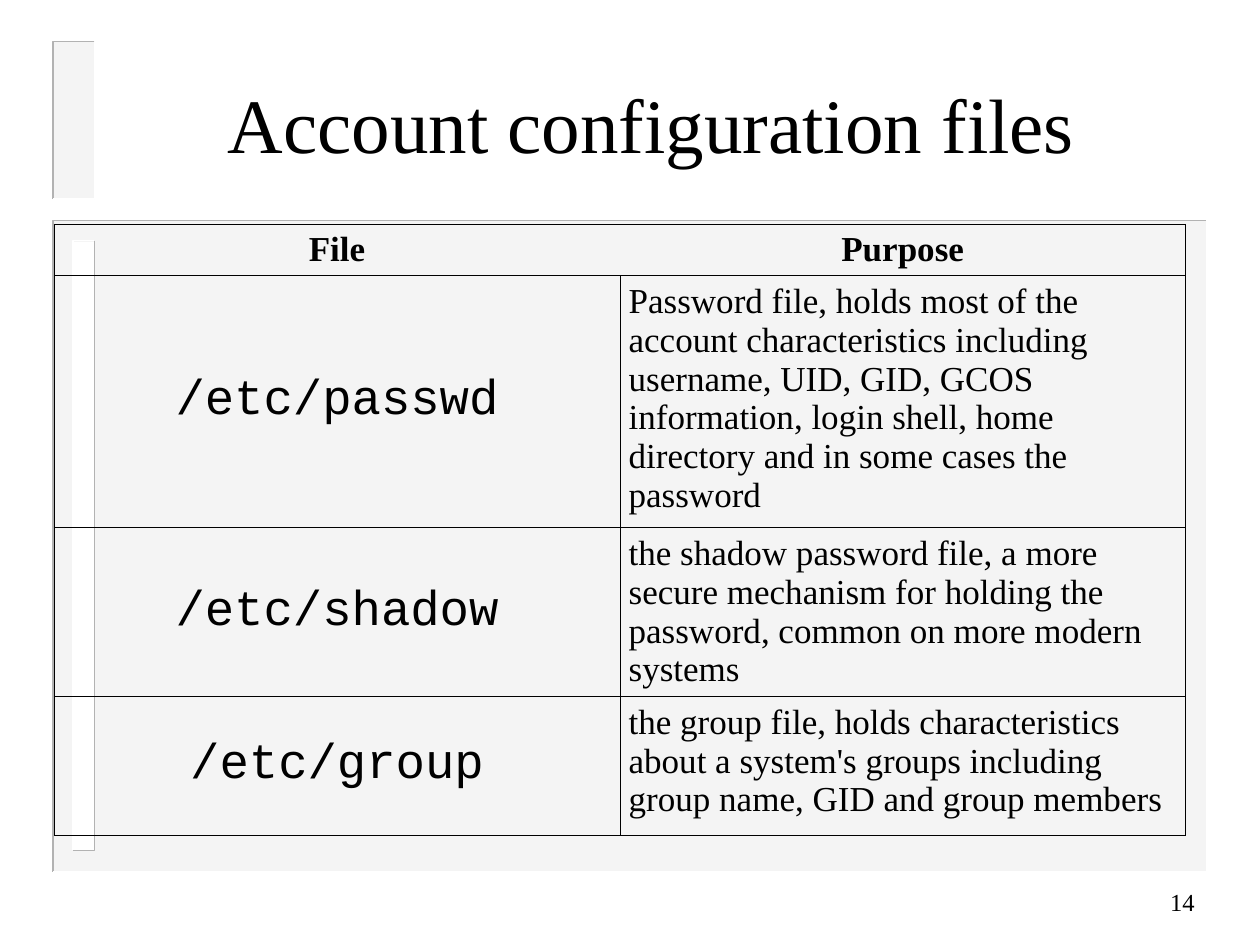
from lxml.etree import SubElement
from pptx import Presentation
from pptx.dml.color import RGBColor
from pptx.enum.shapes import MSO_SHAPE
from pptx.enum.text import MSO_ANCHOR, PP_ALIGN
from pptx.oxml.ns import qn
from pptx.util import Inches, Pt

COLORS = {"panel": "EAEAEA", "shade": "B2B2B2", "light": "FFFFFF", "ink": "000000"}
SERIF = "Times New Roman"
MONO = "Courier New"
HEADERS = ("File", "Purpose")
FILES = (
    ("/etc/passwd", "Password file, holds most of the account characteristics including "
     "username, UID, GID, GCOS information, login shell, home directory and in some "
     "cases the password"),
    ("/etc/shadow", "the shadow password file, a more secure mechanism for holding the "
     "password, common on more modern systems"),
    ("/etc/group", "the group file, holds characteristics about a system's groups "
     "including group name, GID and group members"),
)
ROW_HEIGHTS = (0.37, 2, 1.34, 1.1)


def color(name):
    return RGBColor.from_string(COLORS[name])


def write(frame, text, size, align, font=SERIF, bold=False):
    frame.text = text
    paragraph = frame.paragraphs[0]
    paragraph.alignment = align
    paragraph.font.size = Pt(size)
    paragraph.font.name = font
    paragraph.font.bold = bold
    paragraph.font.color.rgb = color("ink")


def add_block(slide, left, top, width, height, fill, opacity=100):
    block = slide.shapes.add_shape(
        MSO_SHAPE.RECTANGLE, Inches(left), Inches(top), Inches(width), Inches(height))
    block.shadow.inherit = False
    block.line.fill.background()
    block.fill.solid()
    block.fill.fore_color.rgb = color(fill)
    if opacity < 100:
        tint = block.fill._xPr.find(qn("a:solidFill"))[0]
        SubElement(tint, qn("a:alpha"), val=str(opacity * 1000))


def add_edge(slide, points, stroke):
    start, *rest = [(Inches(x), Inches(y)) for x, y in points]
    builder = slide.shapes.build_freeform(*start)
    builder.add_line_segments(rest, close=False)
    edge = builder.convert_to_shape()
    edge.shadow.inherit = False
    edge.fill.background()
    edge.line.color.rgb = color(stroke)
    edge.line.width = Pt(1)


def add_bevel(slide, left, top, right, bottom, upper, lower):
    add_edge(slide, [(right, top), (left, top), (left, bottom)], upper)
    add_edge(slide, [(right, top), (right, bottom), (left, bottom)], lower)


def add_backdrop(slide):
    add_block(slide, 0.43, 1.75, 9.15, 5.17, "panel", 50)
    add_bevel(slide, 0.42, 1.75, 9.58, 6.92, "shade", "light")
    add_block(slide, 0.58, 1.92, 0.17, 4.83, "light")
    add_bevel(slide, 0.58, 1.91, 0.75, 6.75, "light", "shade")
    add_block(slide, 0.42, 0.33, 0.33, 1.25, "panel", 50)
    add_bevel(slide, 0.42, 0.33, 0.75, 1.58, "shade", "light")


def set_title(slide, text):
    title = slide.shapes.title
    title.left, title.top = Inches(0.92), Inches(0.37)
    title.width, title.height = Inches(8.5), Inches(1.21)
    title.text_frame.vertical_anchor = MSO_ANCHOR.MIDDLE
    write(title.text_frame, text, 44, PP_ALIGN.CENTER)


def set_borders(cell, hidden=()):
    properties = cell._tc.get_or_add_tcPr()
    for position, side in enumerate(("lnL", "lnR", "lnT", "lnB")):
        border = SubElement(properties, qn(f"a:{side}"), w=str(Pt(0.45)))
        properties.insert(position, border)
        if side in hidden:
            SubElement(border, qn("a:noFill"))
        else:
            fill = SubElement(border, qn("a:solidFill"))
            SubElement(fill, qn("a:srgbClr"), val=COLORS["ink"])


def fill_cell(cell, text, size, align, anchor=MSO_ANCHOR.TOP, hidden=(), **style):
    write(cell.text_frame, text, size, align, **style)
    cell.vertical_anchor = anchor
    cell.margin_left = cell.margin_right = Inches(0.07)
    cell.margin_top = cell.margin_bottom = Inches(0.05)
    cell.fill.background()
    set_borders(cell, hidden)


def add_file_table(slide):
    files = slide.shapes.add_table(
        len(ROW_HEIGHTS), len(HEADERS), Inches(0.43), Inches(1.78),
        Inches(8.98), Inches(sum(ROW_HEIGHTS))).table
    files.first_row = files.horz_banding = False
    for row, height in zip(files.rows, ROW_HEIGHTS):
        row.height = Inches(height)
    for column, (header, inner_side) in enumerate(zip(HEADERS, ("lnR", "lnL"))):
        fill_cell(files.cell(0, column), header, 20, PP_ALIGN.CENTER,
                  hidden=(inner_side,), bold=True)
    for row, (name, purpose) in enumerate(FILES, 1):
        fill_cell(files.cell(row, 0), name, 28, PP_ALIGN.CENTER, MSO_ANCHOR.MIDDLE,
                  font=MONO)
        fill_cell(files.cell(row, 1), purpose, 20, PP_ALIGN.LEFT)


def add_page_number(slide, number):
    frame = slide.shapes.add_textbox(
        Inches(7.5), Inches(6.91), Inches(2.08), Inches(0.5)).text_frame
    frame.word_wrap = True
    frame.vertical_anchor = MSO_ANCHOR.MIDDLE
    write(frame, number, 14, PP_ALIGN.RIGHT)


def main():
    deck = Presentation()
    deck.slide_width, deck.slide_height = Inches(10), Inches(7.5)
    slide = deck.slides.add_slide(deck.slide_layouts[5])
    add_backdrop(slide)
    set_title(slide, "Account configuration files")
    add_file_table(slide)
    add_page_number(slide, "14")
    deck.save("out.pptx")


if __name__ == "__main__":
    main()
